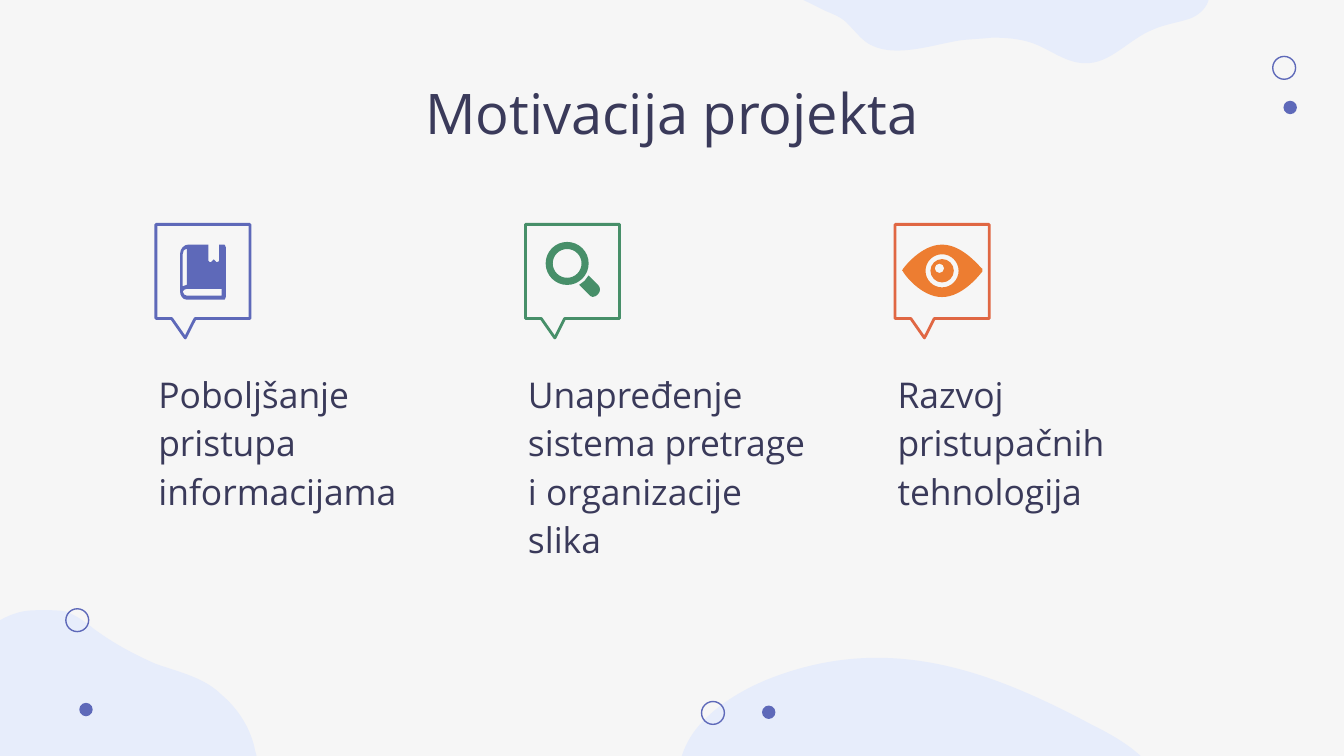
from collections import namedtuple

from lxml.etree import SubElement
from pptx import Presentation
from pptx.dml.color import RGBColor
from pptx.enum.shapes import MSO_SHAPE as Preset
from pptx.enum.text import MSO_ANCHOR as Anchor, PP_ALIGN as Align
from pptx.oxml.ns import qn
from pptx.util import Inches, Pt

# The slide is a grid of 1000 columns; rows have the same size
UNIT = Inches(10) // 1000
COLUMNS, ROWS = 1000, 562.5
Box = namedtuple("Box", "left top width height")

BACKGROUND, BLOB, INK = "F6F6F6", "E7EDFB", "3A3A5A"
BLUE, GREEN, RED, ORANGE = "5E69B9", "478F69", "E06743", "ED7D31"
FONT = "Open Sans"

# An outline is a start point, then lines (x, y) and curves (x1, y1, x2, y2, x, y)
HILL = [
    (65, 17), (46, 25, 28, 36, 15, 51), (2, 66, -4, 87, 2, 105),
    (11, 136, 49, 153, 85, 155), (121, 156, 155, 146, 191, 141),
    (218, 138, 246, 138, 274, 141), (289, 143, 303, 145, 318, 144),
    (333, 143, 348, 138, 356, 127), (366, 113, 361, 93, 350, 80),
    (339, 67, 323, 58, 307, 50), (230, 9, 154, -19, 65, 17),
]
WAVE = [
    (171, 148), (183, 148, 195, 149, 206, 154), (217, 159, 228, 167, 240, 167),
    (259, 168, 273, 149, 291, 142), (300, 138, 309, 137, 318, 134),
    (324, 132, 330, 127, 332, 121), (334, 116, 334, 111, 332, 105),
    (329, 89, 320, 74, 307, 63), (294, 50, 275, 46, 258, 40),
    (242, 33, 227, 25, 212, 14), (206, 9, 199, 4, 191, 1),
    (186, 0, 180, 0, 174, 0), (168, 0, 161, 0, 155, 2),
    (137, 7, 124, 22, 108, 31), (88, 45, 65, 52, 42, 59),
    (29, 63, 15, 68, 6, 78), (0, 85, -2, 93, 3, 101),
    (8, 108, 16, 113, 24, 117), (31, 120, 39, 124, 47, 128),
    (54, 131, 60, 133, 65, 139), (69, 143, 73, 148, 77, 151),
    (96, 165, 127, 153, 148, 150), (156, 149, 163, 149, 171, 148),
]
BOOK_SPINE = [(23, 18), (23, 45), (22, 45, 21, 45, 20, 46), (20, 22),
              (20, 20, 21, 18, 23, 18)]
BOOK_PAGES = [(49, 48), (49, 53), (23, 53), (22, 53, 20, 52, 20, 50),
              (20, 49, 22, 48, 23, 48)]
BOOK_COVER = [
    (24, 15), (21, 15, 18, 18, 18, 22), (18, 50), (18, 53, 20, 56, 23, 56),
    (51, 56), (51, 56, 52, 55, 52, 54), (52, 17), (52, 16, 51, 15, 51, 15),
    (47, 15), (47, 27), (47, 28, 46, 28, 45, 28), (43, 26), (41, 28),
    (40, 28, 40, 28, 40, 28), (39, 28, 39, 28, 39, 27), (39, 15),
]
LENS_HANDLE = [(47, 38), (46, 39, 45, 41, 44, 42), (43, 43, 41, 44, 40, 45),
               (47, 52), (48, 53, 49, 54, 50, 54), (52, 54, 53, 53, 54, 52),
               (56, 50, 56, 47, 54, 45)]
EYELID = [(35, 15), (19, 15, 6, 33, 6, 33), (5, 34, 5, 35, 6, 35),
          (6, 36, 19, 54, 35, 54), (51, 54, 64, 36, 65, 35),
          (65, 35, 65, 34, 65, 33), (64, 33, 51, 15, 35, 15)]


def color(value):
    return RGBColor.from_string(value)


def paint(shape, fill=None, line=None, weight=0.75):
    shape.shadow.inherit = False
    if fill:
        shape.fill.solid()
        shape.fill.fore_color.rgb = color(fill)
    else:
        shape.fill.background()
    if line:
        shape.line.color.rgb = color(line)
        shape.line.width = Pt(weight)
    else:
        shape.line.fill.background()


def emu(box):
    return [round(length * UNIT) for length in box]


def inside(box, left, top, width, height):
    return Box(box.left + left, box.top + top, width, height)


def circle(x, y, radius):
    """Outline of four quarter curves."""
    r, k = radius, 0.55 * radius
    return [(x, y - r), (x + k, y - r, x + r, y - k, x + r, y),
            (x + r, y + k, x + k, y + r, x, y + r),
            (x - k, y + r, x - r, y + k, x - r, y),
            (x - r, y - k, x - k, y - r, x, y - r)]


def add_outline(slide, box, extent, fill, *outlines):
    """Draw outlines measured from the box corner; inner ones become holes."""
    left, top, width, height = emu(inside(box, *extent))
    builder = slide.shapes.build_freeform(left, top, scale=1.0)
    builder.add_line_segments([(left + width, top + height)], close=True)
    shape = builder.convert_to_shape()
    # Lines and curves replace the diagonal that set the size
    path_element = next(shape.element.iter(qn("a:path")))
    for child in list(path_element):
        path_element.remove(child)
    for outline in outlines:
        for index, segment in enumerate(outline):
            if index == 0:
                tag = "a:moveTo"
            else:
                tag = "a:lnTo" if len(segment) == 2 else "a:cubicBezTo"
            step = SubElement(path_element, qn(tag))
            for x, y in zip(segment[::2], segment[1::2]):
                SubElement(step, qn("a:pt"), x=str(round((x - extent[0]) * UNIT)),
                           y=str(round((y - extent[1]) * UNIT)))
        SubElement(path_element, qn("a:close"))
    paint(shape, fill)


def add_text(slide, box, text, size, align=Align.LEFT, spacing=1.0):
    text_frame = slide.shapes.add_textbox(*emu(box)).text_frame
    text_frame.word_wrap = True
    text_frame.vertical_anchor = Anchor.TOP
    text_frame.margin_left = text_frame.margin_right = Inches(0.1)
    text_frame.margin_top = text_frame.margin_bottom = Inches(0.1)
    text_frame.text = text
    paragraph = text_frame.paragraphs[0]
    paragraph.alignment = align
    paragraph.line_spacing = spacing
    font = paragraph.runs[0].font
    font.name, font.size, font.color.rgb = FONT, Pt(size), color(INK)


def add_decoration(slide, box):
    # Soft blobs running over the edges
    for left, top, width, height, outline in (
            (505, 489, 370, 175, HILL), (-142, 454, 336, 168, WAVE), (567, -120, 336, 168, WAVE)):
        corner = inside(box, left, top, width, height)
        add_outline(slide, corner, (0, 0, width, height), BLOB, outline)
    # Pairs of a ring and a dot
    for ring, dot in (((947, 42), (955, 75)), ((49, 453), (59, 523)), ((522, 522), (567, 525))):
        for place, size, style in ((ring, 17, {"line": BLUE}), (dot, 10, {"fill": BLUE})):
            spot = inside(box, *place, size, size)
            paint(slide.shapes.add_shape(Preset.OVAL, *emu(spot)), **style)


def add_book(slide, box):
    add_outline(slide, box, (18, 15, 34, 41), BLUE, BOOK_SPINE, BOOK_PAGES, BOOK_COVER)


def add_lens(slide, box):
    add_outline(slide, box, (40, 38, 16, 16), GREEN, LENS_HANDLE)
    add_outline(slide, box, (15, 13, 32, 32), GREEN, circle(31, 29, 10.7), circle(31, 29, 16))


def add_eye(slide, box):
    add_outline(slide, box, (26, 26, 18, 17), ORANGE,
                circle(33, 32.7, 3.5), circle(35, 34.5, 8.7))
    add_outline(slide, box, (5, 15, 60, 39), ORANGE, circle(35, 34.5, 12.3), EYELID)


def add_reason(slide, box, text, accent, add_icon):
    # Callout frame with its pointer turned downwards
    frame = inside(box, 8, 0, 70, 70)
    callout = slide.shapes.add_shape(Preset.ROUNDED_RECTANGULAR_CALLOUT, *emu(frame))
    for index, value in enumerate((0.707, 0.188, 0)):
        callout.adjustments[index] = value
    callout.rotation = 90
    paint(callout, line=accent, weight=1.5)
    add_icon(slide, frame)
    # Wording below the frame
    add_text(slide, inside(box, 0, 96, box.width, box.height - 96), text, 19, spacing=1.14)


def main():
    presentation = Presentation()
    presentation.slide_width = COLUMNS * UNIT
    presentation.slide_height = round(ROWS * UNIT)
    slide = presentation.slides.add_slide(presentation.slide_layouts[6])
    slide.background.fill.solid()
    slide.background.fill.fore_color.rgb = color(BACKGROUND)

    add_decoration(slide, Box(0, 0, COLUMNS, ROWS))
    add_text(slide, Box(78.5, 48.5, 843, 63), "Motivacija projekta", 30, Align.CENTER)
    reasons = (
        ("Poboljšanje pristupa informacijama", BLUE, add_book),
        ("Unapređenje sistema pretrage i organizacije slika", GREEN, add_lens),
        ("Razvoj pristupačnih tehnologija", RED, add_eye),
    )
    for column, reason in enumerate(reasons):
        add_reason(slide, Box(108 + 275 * column, 167, 235, 347), *reason)
    presentation.save("out.pptx")


if __name__ == "__main__":
    main()
